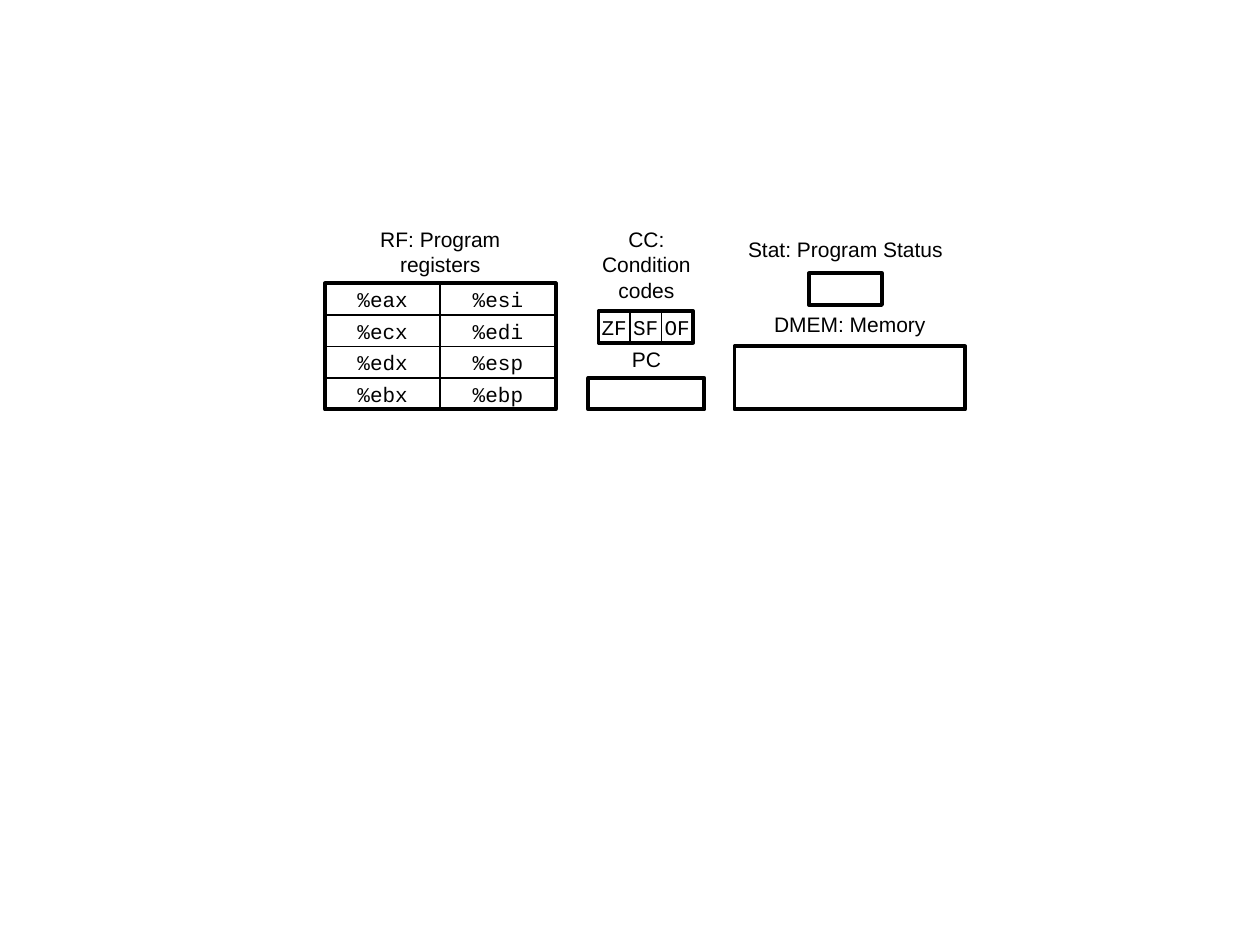
"""Draw the programmer-visible state of a processor."""
from dataclasses import dataclass

from pptx import Presentation
from pptx.dml.color import RGBColor
from pptx.enum.shapes import MSO_SHAPE
from pptx.enum.text import MSO_ANCHOR, MSO_AUTO_SIZE, PP_ALIGN
from pptx.util import Inches, Pt

RECT = MSO_SHAPE.RECTANGLE
MIDDLE = MSO_ANCHOR.MIDDLE
GROW = MSO_AUTO_SIZE.SHAPE_TO_FIT_TEXT
CENTER = PP_ALIGN.CENTER


@dataclass(frozen=True)
class Theme:
    """Colours, fonts and sizes of the slide."""
    ink: RGBColor = RGBColor(0, 0, 0)
    paper: RGBColor = RGBColor(255, 255, 255)
    sans: str = "Arial"
    mono: str = "Courier New"
    size: Pt = Pt(12)
    thin: Pt = Pt(1)
    thick: Pt = Pt(2.25)


THEME = Theme()
REGS = [["%eax", "%esi"], ["%ecx", "%edi"], ["%edx", "%esp"], ["%ebx", "%ebp"]]
FLAGS = [["ZF", "SF", "OF"]]
ROW = 0.25


def write(frame, text, font):
    """Put one centred line of text in a frame."""
    para = frame.paragraphs[0]
    para.text = text
    para.alignment = CENTER
    para.font.name = font
    para.font.size = THEME.size
    para.font.color.rgb = THEME.ink


def add_box(shapes, x, y, w, h, line):
    """Add an unfilled box with a black outline."""
    box = shapes.add_shape(RECT, Inches(x), Inches(y), Inches(w), Inches(h))
    box.shadow.inherit = False
    box.fill.background()
    box.line.color.rgb = THEME.ink
    box.line.width = line
    return box


def add_cell(shapes, x, y, w, text):
    """Add a white cell with a name in it."""
    cell = add_box(shapes, x, y, w, ROW, THEME.thin)
    cell.fill.solid()
    cell.fill.fore_color.rgb = THEME.paper
    cell.text_frame.word_wrap = False
    cell.text_frame.vertical_anchor = MIDDLE
    write(cell.text_frame, text, THEME.mono)


def add_grid(slide, x, y, w, rows):
    """Add a group of equal cells inside a thick frame."""
    shapes = slide.shapes.add_group_shape().shapes
    step = w / len(rows[0])
    for i, row in enumerate(rows):
        for j, name in enumerate(row):
            add_cell(shapes, x + j * step, y + i * ROW, step, name)
    add_box(shapes, x, y, w, len(rows) * ROW, THEME.thick)


def add_label(slide, x, y, w, h, text):
    """Add a wrapped heading above a box."""
    label = slide.shapes.add_textbox(Inches(x), Inches(y), Inches(w), Inches(h))
    label.text_frame.word_wrap = True
    label.text_frame.auto_size = GROW
    write(label.text_frame, text, THEME.sans)


def main():
    """Build and save the slide."""
    deck = Presentation()
    deck.slide_width, deck.slide_height = Inches(10), Inches(7.5)
    slide = deck.slides.add_slide(deck.slide_layouts.get_by_name("Blank"))

    add_grid(slide, 2.58, 2.25, 1.83, REGS)
    add_label(slide, 2.58, 1.75, 1.83, 0.5, "RF: Program registers")

    add_grid(slide, 4.75, 2.47, 0.75, FLAGS)
    add_label(slide, 4.67, 1.75, 0.92, 0.7, "CC: Condition codes")

    add_box(slide.shapes, 4.67, 3, 0.92, ROW, THEME.thick)
    add_label(slide, 4.67, 2.7, 0.92, 0.3, "PC")

    add_box(slide.shapes, 5.83, 2.75, 1.83, 2 * ROW, THEME.thick)
    add_label(slide, 5.83, 2.42, 1.83, 0.3, "DMEM: Memory")

    add_box(slide.shapes, 6.42, 2.17, 0.58, ROW, THEME.thick)
    add_label(slide, 5.67, 1.83, 2.08, 0.3, "Stat: Program Status")

    deck.save("out.pptx")


if __name__ == "__main__":
    main()
